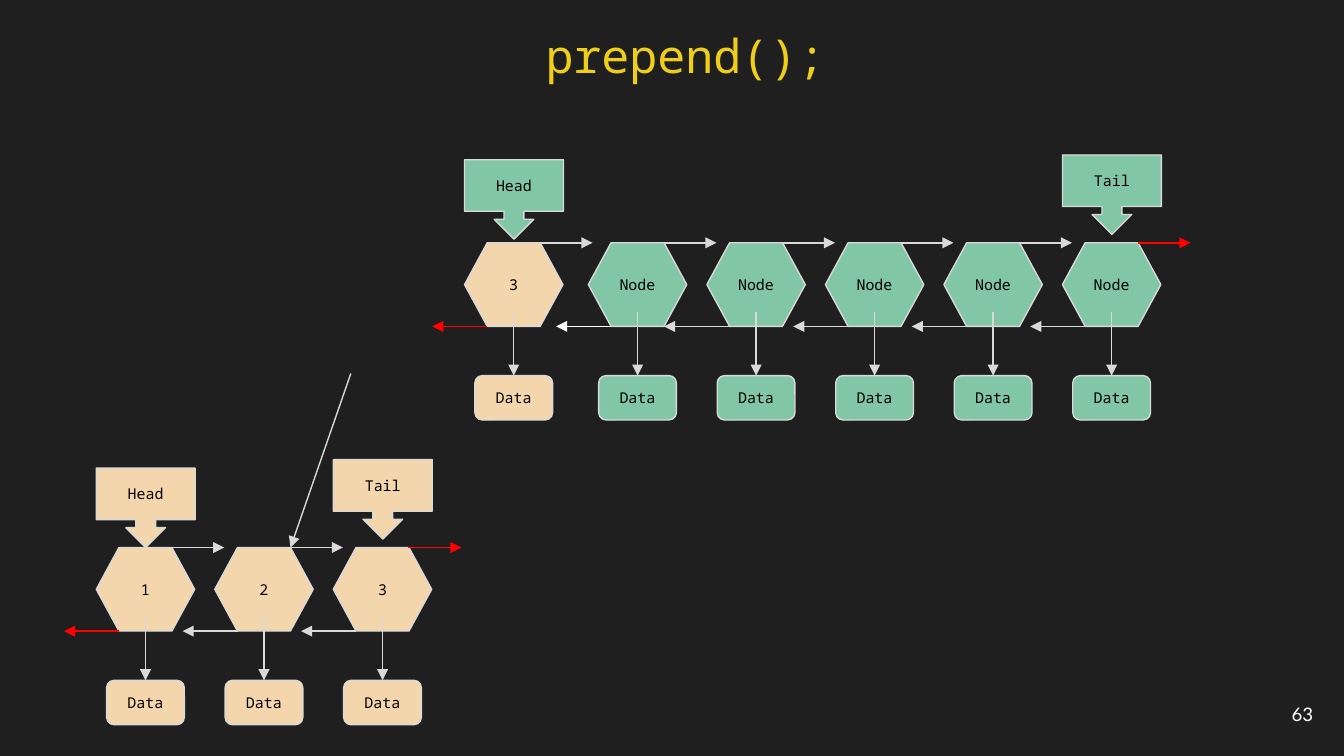
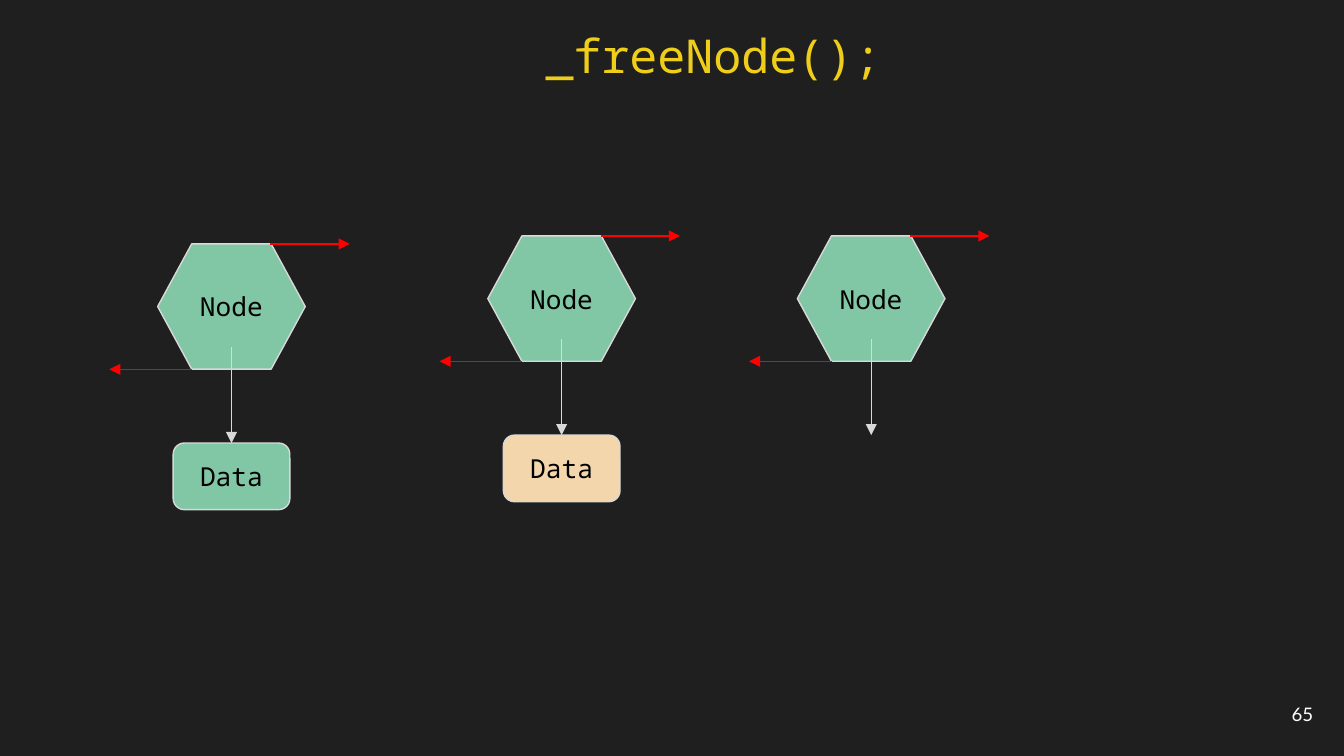
import dataclasses
import typing

import lxml.etree
import pptx
import pptx.dml.color
import pptx.enum.shapes
import pptx.enum.text
import pptx.oxml.ns
import pptx.util

Cm = pptx.util.Cm
Pt = pptx.util.Pt
Kind = pptx.enum.shapes.MSO_SHAPE
Align = pptx.enum.text.PP_ALIGN
Anchor = pptx.enum.text.MSO_ANCHOR

HUES = {
    "back": "1F1F1F",
    "title": "EECE1A",
    "white": "FFFFFF",
    "black": "000000",
    "green": "82C7A5",
    "sand": "F4D6AD",
    "grey": "D9D9D9",
    "red": "FF0000",
}
MONO = "Noto Sans Mono"
INSET = Cm(0.25)
STEP = 2.24
NODE_W, NODE_H = 1.86, 1.58
DATA_W, DATA_H, DATA_Y = 1.47, 0.84, 2.51


@dataclasses.dataclass
class Node:
    left: float
    top: float
    label: str = "Node"
    fill: str = "green"
    data: typing.Optional[str] = "green"
    prev: str = "grey"
    next: str = "grey"
    reach: float = -0.61


@dataclasses.dataclass
class Flag:
    label: str
    left: float
    top: float
    fill: str


def tint(name: str) -> pptx.dml.color.RGBColor:
    return pptx.dml.color.RGBColor.from_string(HUES[name])


def write(shape, text: str, size: float, hue: str, font: str, align, anchor) -> None:
    frame = shape.text_frame
    frame.text = text
    frame.word_wrap = True
    frame.auto_size = pptx.enum.text.MSO_AUTO_SIZE.NONE
    frame.vertical_anchor = anchor
    frame.margin_left = frame.margin_right = INSET
    frame.margin_top = frame.margin_bottom = INSET
    line = frame.paragraphs[0]
    line.alignment = align
    style = line.runs[0].font
    style.size, style.name = Pt(size), font
    style.color.rgb = tint(hue)


def block(shapes, kind, left: float, top: float, width: float, height: float,
          text: str, fill: str, size: float, bends: typing.Sequence[float]) -> None:
    shape = shapes.add_shape(kind, Cm(left), Cm(top), Cm(width), Cm(height))
    shape.shadow.inherit = False
    shape.fill.solid()
    shape.fill.fore_color.rgb = tint(fill)
    shape.line.color.rgb = tint("grey")
    shape.line.width = Pt(0.75)
    for i, bend in enumerate(bends):
        shape.adjustments[i] = bend
    write(shape, text, size, "black", MONO, Align.CENTER, Anchor.MIDDLE)


def arrow(shapes, x1: float, y1: float, x2: float, y2: float, hue: str = "grey") -> None:
    link = shapes.add_connector(pptx.enum.shapes.MSO_CONNECTOR.STRAIGHT,
                                Cm(x1), Cm(y1), Cm(x2), Cm(y2))
    link.line.color.rgb = tint(hue)
    link.line.width = Pt(0.75)
    qn = pptx.oxml.ns.qn
    props = link._element.spPr
    lxml.etree.SubElement(props.find(qn("a:ln")), qn("a:tailEnd"), type="triangle")
    lxml.etree.SubElement(props, qn("a:effectLst"))


def draw_node(shapes, node: Node, scale: float = 1, size: float = 8) -> None:
    def x(shift: float) -> float:
        return node.left + shift * scale

    def y(shift: float) -> float:
        return node.top + shift * scale

    mid = NODE_W / 2
    block(shapes, Kind.HEXAGON, x(0), y(0), NODE_W * scale, NODE_H * scale,
          node.label, node.fill, size, [0.272])
    arrow(shapes, x(0.43), y(NODE_H), x(node.reach), y(NODE_H), node.prev)
    arrow(shapes, x(1.42), y(0), x(2.42), y(0), node.next)
    arrow(shapes, x(mid), y(1.3), x(mid), y(DATA_Y))
    if node.data:
        block(shapes, Kind.ROUNDED_RECTANGLE, x(mid - DATA_W / 2), y(DATA_Y),
              DATA_W * scale, DATA_H * scale, "Data", node.data, size, [0.167])


def draw_flag(shapes, flag: Flag) -> None:
    block(shapes, Kind.DOWN_ARROW_CALLOUT, flag.left, flag.top, 1.87, 1.5,
          flag.label, flag.fill, 8, [0.25, 0.25, 0.25, 0.65])


def add_slide(deck, title: str, width: float, number: str):
    slide = deck.slides.add_slide(deck.slide_layouts[5])
    head = slide.shapes.title
    head.left, head.top = Cm(10.06), Cm(0.25)
    head.width, head.height = Cm(width), Cm(1.73)
    write(head, title, 25, "title", MONO, Align.LEFT, Anchor.TOP)
    foot = slide.shapes.add_textbox(Cm(23.55), Cm(12.95), Cm(1.52), Cm(1.09))
    write(foot, number, 10, "white", "Lato", Align.RIGHT, Anchor.MIDDLE)
    return slide


def main() -> None:
    deck = pptx.Presentation()
    deck.slide_width, deck.slide_height = Cm(25.4), Cm(14.29)
    back = deck.slide_master.background.fill
    back.solid()
    back.fore_color.rgb = tint("back")

    shapes = add_slide(deck, "prepend();", 12.45, "63").shapes
    main_x, main_y, new_x = 11.12, 4.59, 8.78
    list_x, list_y = 1.82, 10.35
    chain = [Node(main_x + i * STEP, main_y) for i in range(5)]
    chain[0].prev = "white"
    chain[1].reach = -0.81
    chain[-1].next = "red"
    short = [Node(list_x + i * STEP, list_y, str(i + 1), "sand", "sand")
             for i in range(3)]
    short[0].prev = short[-1].next = "red"
    fresh = Node(new_x, main_y, "3", "sand", "sand", prev="red")
    for node in chain + short + [fresh]:
        draw_node(shapes, node)
    for flag in (
        Flag("Head", new_x, 3.02, "green"),
        Flag("Tail", chain[-1].left, 2.93, "green"),
        Flag("Head", list_x, 8.85, "sand"),
        Flag("Tail", short[-1].left, 8.69, "sand"),
    ):
        draw_flag(shapes, flag)
    arrow(shapes, 6.63, 7.06, 5.49, list_y)

    shapes = add_slide(deck, "_freeNode();", 11.33, "65").shapes
    for left, top, data in (
        (2.98, 4.61, "green"),
        (9.22, 4.46, "sand"),
        (15.07, 4.46, None),
    ):
        node = Node(left, top, data=data, prev="red", next="red")
        draw_node(shapes.add_group_shape().shapes, node, 1.5, 14)

    deck.save("out.pptx")


if __name__ == "__main__":
    main()
